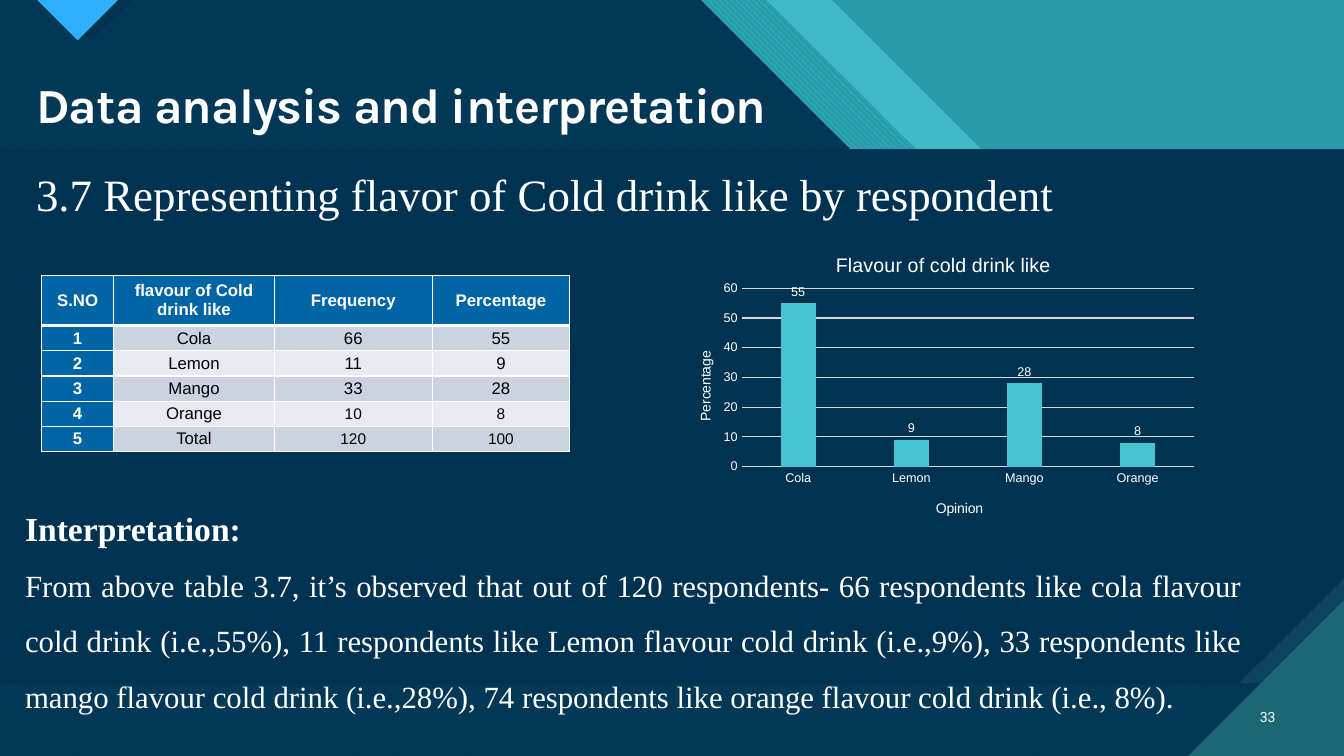
import pptx
import pptx.util
import pptx.chart.data
import pptx.dml.color
import pptx.enum.chart
import pptx.enum.dml
import pptx.enum.shapes
import pptx.enum.text
import pptx.oxml
import pptx.oxml.ns

Inches, Pt = pptx.util.Inches, pptx.util.Pt
qn, nsdecls = pptx.oxml.ns.qn, pptx.oxml.ns.nsdecls
RGBColor = pptx.dml.color.RGBColor
MSO_PATTERN = pptx.enum.dml.MSO_PATTERN
PP_ALIGN = pptx.enum.text.PP_ALIGN
MIDDLE = pptx.enum.text.MSO_ANCHOR.MIDDLE

WHITE = RGBColor(0xFF, 0xFF, 0xFF)
BLACK = RGBColor(0, 0, 0)
NAVY = RGBColor(0x00, 0x33, 0x52)
SLATE = RGBColor(0x0C, 0x43, 0x60)
PINE = RGBColor(0x1B, 0x68, 0x72)
TEAL = RGBColor(0x29, 0x9C, 0xAB)
AQUA = RGBColor(0x47, 0xC3, 0xD3)
SKY = RGBColor(0x2F, 0xAF, 0xFF)
BLUE = RGBColor(0x00, 0x65, 0xA4)
GREY = RGBColor(0xCC, 0xD3, 0xE0)
PALE = RGBColor(0xE7, 0xEA, 0xF0)
RULE = RGBColor(0xD9, 0xD9, 0xD9)


def paint(shape, color, back=None, pattern=None, alpha=None):
    """Fill a shape plainly or with a pattern, without line or shadow."""
    shape.shadow.inherit = False
    shape.line.fill.background()
    if pattern is None:
        shape.fill.solid()
    else:
        shape.fill.patterned()
        shape.fill.pattern = pattern
        shape.fill.back_color.rgb = back
    shape.fill.fore_color.rgb = color
    if alpha:
        tint = shape._element.spPr.find(".//" + qn("a:srgbClr"))
        tint.append(pptx.oxml.parse_xml(
            f'<a:alpha {nsdecls("a")} val="{alpha * 1000}"/>'))


def place(part, index, inner=False, **box):
    """Give a chart part a fixed place, in shares of the chart."""
    old = part.find(qn("c:layout"))
    if old is not None:
        part.remove(old)
    marks = '<c:layoutTarget val="inner"/>' if inner else ""
    marks += "".join(f'<c:{key}Mode val="edge"/>' for key in "xy")
    marks += "".join(f'<c:{key} val="{val}"/>' for key, val in box.items())
    part.insert(index, pptx.oxml.parse_xml(
        f'<c:layout {nsdecls("c")}><c:manualLayout>{marks}'
        '</c:manualLayout></c:layout>'))


deck = pptx.Presentation()
deck.slide_width, deck.slide_height = Inches(13.33), Inches(7.5)
slide = deck.slides.add_slide(deck.slide_layouts[5])
shapes = slide.shapes
slide.background.fill.solid()
slide.background.fill.fore_color.rgb = TEAL

# Slanted layers, the tab at the top and the corner
navy_edge = [(0, 0), (6.95, 0), (9.92, 2.97), (11.18, 2.97),
             (13.33, 5.12), (13.33, 7.5), (0, 7.5)]
layers = [
    ([(0, 0), (8.25, 0), (11.22, 2.97), (12.34, 2.97), (13.33, 3.96),
      (13.33, 7.5), (0, 7.5)], dict(color=AQUA, alpha=74)),
    ([(0.66, 0), (7.6, 0), (10.58, 2.97), (11.84, 2.97), (13.33, 4.47),
      (13.33, 7.5), (0.66, 7.5)],
     dict(color=AQUA, back=TEAL, pattern=MSO_PATTERN.WIDE_DOWNWARD_DIAGONAL)),
    (navy_edge,
     dict(color=AQUA, back=PINE, pattern=MSO_PATTERN.WIDE_UPWARD_DIAGONAL)),
    (navy_edge, dict(color=NAVY, alpha=90)),
    ([(0.48, 0), (1.31, 0), (0.9, 0.41)], dict(color=NAVY)),
    ([(0.37, 0), (1.17, 0), (0.77, 0.4)],
     dict(color=SKY, back=PINE, pattern=MSO_PATTERN.DARK_HORIZONTAL)),
]
corner = ([(11.79, 7.5), (13.33, 7.5), (13.33, 5.96)],
          dict(color=PINE, back=AQUA, pattern=MSO_PATTERN.DARK_HORIZONTAL))
panels = [
    (0, dict(color=SLATE, back=PINE, pattern=MSO_PATTERN.DARK_VERTICAL)),
    (0.197, dict(color=NAVY)),
]
for item, style in layers + panels + [corner]:
    if isinstance(item, list):
        points = [(Inches(x), Inches(y)) for x, y in item]
        pen = shapes.build_freeform(*points[0])
        pen.add_line_segments(points[1:], close=True)
        shape = pen.convert_to_shape()
    else:
        shape = shapes.add_shape(
            pptx.enum.shapes.MSO_SHAPE.SNIP_1_RECTANGLE,
            0, Inches(1.48), Inches(13.33), Inches(5.3))
        shape.adjustments[0] = item
        shape._element.spPr.find(qn("a:xfrm")).set("flipV", "1")
    paint(shape, **style)

# Title, in front of the layers
title = shapes.title
shapes._spTree.append(title._element)
title.left, title.top = Inches(0.26), Inches(0.75)
title.width, title.height = Inches(7.56), Inches(0.63)
title.text_frame.text = "Data analysis and interpretation"
title.text_frame.vertical_anchor = MIDDLE
head = title.text_frame.paragraphs[0]
head.alignment, head.line_spacing = PP_ALIGN.LEFT, 0.9
font = head.runs[0].font
font.name, font.size, font.bold = "Karla", Pt(35), True
font.color.rgb = WHITE
head.runs[0]._r.get_or_add_rPr().set("spc", "-70")

# Text boxes: place, font, alignment, line spacing, (text, size, bold)
SERIF = "Times New Roman"
boxes = [
    ((12.31, 6.91, 0.44, 0.4), "Roboto", PP_ALIGN.RIGHT, 1,
     [("33", 10, False)]),
    ((0.26, 1.6, 12.04, 0.64), SERIF, PP_ALIGN.JUSTIFY, 1,
     [("3.7 Representing flavor of Cold drink like by respondent",
       32, False)]),
    ((0.15, 4.79, 12.26, 2.31), SERIF, PP_ALIGN.JUSTIFY, 1.5,
     [("Interpretation:", 24, True),
      ("From above table 3.7, it’s observed that out of 120 respondents- "
       "66 respondents like cola flavour cold drink (i.e.,55%), "
       "11 respondents like Lemon flavour cold drink (i.e.,9%), "
       "33 respondents like mango flavour cold drink (i.e.,28%), "
       "74 respondents like orange flavour cold drink (i.e., 8%).",
       22, False)]),
]
for spot, face, align, gap, lines in boxes:
    frame = shapes.add_textbox(*map(Inches, spot)).text_frame
    frame.word_wrap = True
    frame.vertical_anchor = MIDDLE if face == "Roboto" else None
    frame.text = "\n".join(line[0] for line in lines)
    for para, (text, size, bold) in zip(frame.paragraphs, lines):
        para.alignment, para.line_spacing = align, gap
        font = para.runs[0].font
        font.name, font.size, font.bold = face, Pt(size), bold
        font.color.rgb = WHITE

# Table of flavours
rows = [
    ("S.NO", "flavour of Cold drink like", "Frequency", "Percentage"),
    ("1", "Cola", "66", "55"),
    ("2", "Lemon", "11", "9"),
    ("3", "Mango", "33", "28"),
    ("4", "Orange", "10", "8"),
    ("5", "Total", "120", "100"),
]
table = shapes.add_table(len(rows), 4, Inches(0.41), Inches(2.73),
                         Inches(5.24), Inches(1.75)).table
for col, width in zip(table.columns, (0.72, 1.59, 1.57, 1.36)):
    col.width = Inches(width)
for r, row in enumerate(rows):
    table.rows[r].height = Inches(0.25 if r else 0.5)
    for c, text in enumerate(row):
        cell = table.cell(r, c)
        cell.text = text
        cell.vertical_anchor = MIDDLE
        cell.margin_left = cell.margin_right = Inches(0.07)
        cell.margin_top = cell.margin_bottom = 0
        for side in "LRTB":
            thick = (r, side) in ((0, "B"), (1, "T"))
            cell._tc.get_or_add_tcPr().append(pptx.oxml.parse_xml(
                f'<a:ln{side} {nsdecls("a")} w="{Pt(3 if thick else 1)}">'
                f'<a:solidFill><a:srgbClr val="{WHITE}"/></a:solidFill>'
                f'</a:ln{side}>'))
        label = r == 0 or c == 0
        cell.fill.solid()
        cell.fill.fore_color.rgb = BLUE if label else GREY if r % 2 else PALE
        para = cell.text_frame.paragraphs[0]
        para.alignment = PP_ALIGN.CENTER
        font = para.runs[0].font
        font.name, font.bold = "Arial", label
        font.size = Pt(11 if r > 3 and c > 1 else 12)
        font.color.rgb = WHITE if label else BLACK

# Column chart
data = pptx.chart.data.CategoryChartData()
data.categories = ["Cola", "Lemon", "Mango", "Orange"]
data.add_series("Series 1", (55, 9, 28, 8))
chart = shapes.add_chart(
    pptx.enum.chart.XL_CHART_TYPE.COLUMN_CLUSTERED, Inches(6.67),
    Inches(2.29), Inches(5.28), Inches(3), data).chart
chart.has_legend = False
chart.font.name, chart.font.size = "Arial", Pt(10)
chart.font.color.rgb = WHITE
plot, across, up = chart.plots[0], chart.category_axis, chart.value_axis
plot.gap_width, plot.overlap, plot.vary_by_categories = 219, -27, False
bars = plot.series[0]
bars.format.fill.solid()
bars.format.fill.fore_color.rgb = AQUA
plot.has_data_labels = True
marks = plot.data_labels
marks.show_value = True
marks.position = pptx.enum.chart.XL_LABEL_POSITION.OUTSIDE_END
up.minimum_scale, up.maximum_scale, up.major_unit = 0, 60, 10
up.format.line.fill.background()
for line in (across.format.line, up.major_gridlines.format.line):
    line.color.rgb, line.width = RULE, Pt(0.75)
for axis in (across, up):
    axis.major_tick_mark = pptx.enum.chart.XL_TICK_MARK.NONE
for font in (marks.font, across.tick_labels.font, up.tick_labels.font):
    font.name, font.size = "Arial", Pt(9)
    font.color.rgb = WHITE

# Chart titles and plot area
for owner, name, text, size, x, y in (
        (chart, "chart_title", "Flavour of cold drink like", 14, 0.3, 0.06),
        (across, "axis_title", "Opinion", 10, 0.49, 0.88),
        (up, "axis_title", "Percentage", 10, 0.04, 0.39)):
    label = getattr(owner, name)
    label.text_frame.text = text
    font = label.text_frame.paragraphs[0].runs[0].font
    font.name, font.size, font.bold = "Arial", Pt(size), False
    font.color.rgb = WHITE
    place(label._element, 1, x=x, y=y)
place(chart._chartSpace.chart.plotArea, 0, inner=True,
      x=0.13, y=0.19, w=0.85, h=0.59)

deck.save("out.pptx")
